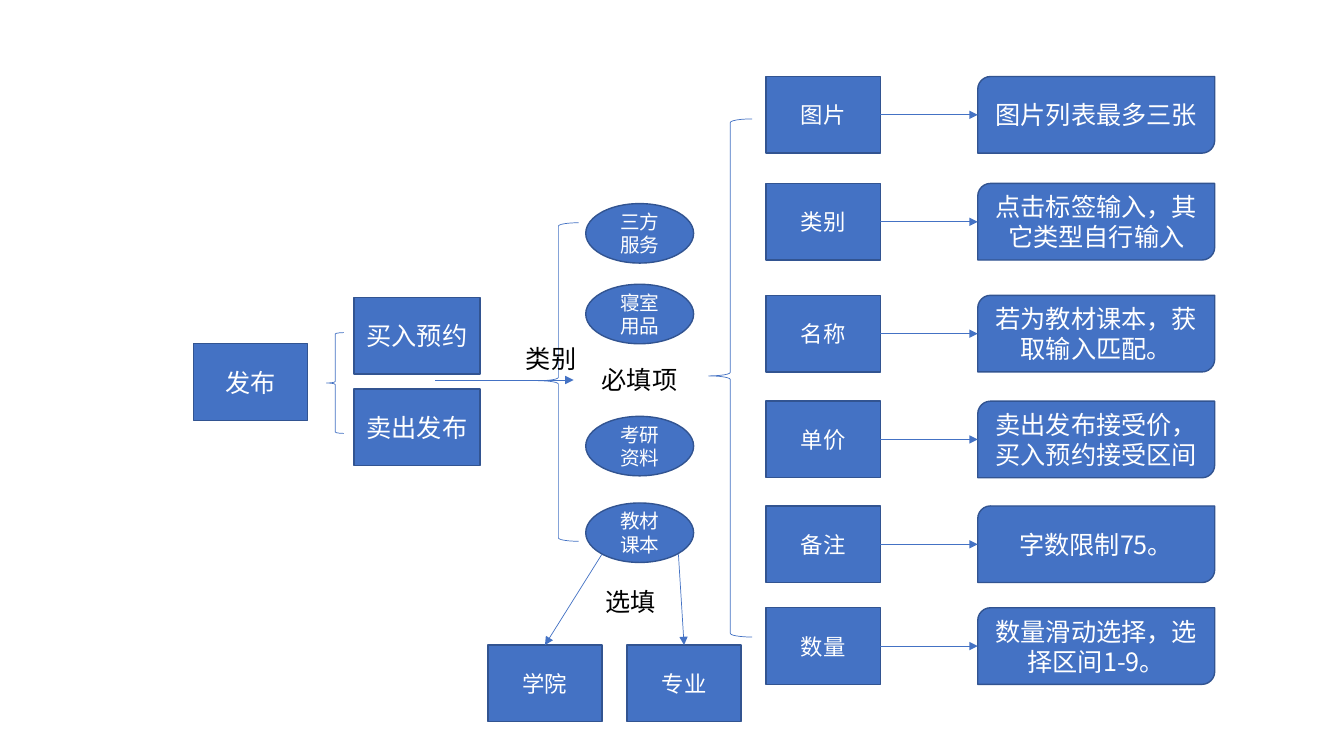
from lxml import etree
from pptx import Presentation
from pptx.dml.color import RGBColor
from pptx.enum.shapes import MSO_CONNECTOR, MSO_SHAPE
from pptx.enum.text import MSO_ANCHOR, PP_ALIGN
from pptx.oxml.ns import qn
from pptx.util import Inches, Pt

RECTANGLE = MSO_SHAPE.RECTANGLE
OVAL = MSO_SHAPE.OVAL
NOTE = MSO_SHAPE.ROUND_2_DIAG_RECTANGLE
BRACE = MSO_SHAPE.LEFT_BRACE
STRAIGHT = MSO_CONNECTOR.STRAIGHT
MIDDLE = MSO_ANCHOR.MIDDLE
LEFT, CENTER = PP_ALIGN.LEFT, PP_ALIGN.CENTER
TOP_SIDE, LEFT_SIDE, RIGHT_SIDE = 0, 1, 3

BLUE = RGBColor(0x44, 0x72, 0xC4)
NAVY = RGBColor(0x32, 0x54, 0x91)
WHITE = RGBColor(0xFF, 0xFF, 0xFF)
BLACK = RGBColor(0, 0, 0)
FONT = "Noto Sans CJK SC"

WIDTH, HEIGHT = Inches(13.333), Inches(7.5)
BOX_WIDTH, BOX_HEIGHT = 8.5, 10.13
TRADE_WIDTH, NOTE_WIDTH = 9.38, 17.63
OVAL_WIDTH, OVAL_HEIGHT = 8.03, 7.87
LABEL_HEIGHT = 5.33
TRADE_LEFT, OVAL_LEFT, FIELD_LEFT, NOTE_LEFT = 26.33, 43.58, 57, 72.75
DETAIL_TOP, DETAIL_START = 85.33, 73.33

TRADES = [(39.33, "买入预约"), (51.47, "卖出发布")]
CATEGORIES = [(26.93, "三方服务"), (37.6, "寝室用品"), (55.07, "考研资料"), (66.53, "教材课本")]
FIELDS = [
    (10.13, "图片", "图片列表最多三张"),
    (24.27, "类别", "点击标签输入，其它类型自行输入"),
    (39.07, "名称", "若为教材课本，获取输入匹配。"),
    (53.07, "单价", "卖出发布接受价，买入预约接受区间"),
    (66.93, "备注", "字数限制75。"),
    (80.4, "数量", "数量滑动选择，选择区间1-9。"),
]
DETAILS = [(36.3, "学院", 44.78), (46.65, "专业", 50.48)]
BRACES = [
    (24.3, 44, 1.28, 13.33, 0.5),
    (40.05, 29.47, 3, 42.13, 0.496),
    (52.73, 15.73, 3.23, 68.53, 0.496),
]
LABELS = [(44.03, 47.47, 7.43, "必填项"), (44.33, 76.93, 5.78, "选填"), (38.4, 44.8, 6.6, "类别")]


def across(share):
    return round(WIDTH * share / 100)


def down(share):
    return round(HEIGHT * share / 100)


def place(left, top, width, height):
    return across(left), down(top), across(width), down(height)


def write(frame, text, size=18, color=WHITE, align=CENTER):
    para = frame.paragraphs[0]
    para.alignment = align
    span = para.add_run()
    span.text = text
    span.font.size = Pt(size)
    span.font.name = FONT
    span.font.color.rgb = color
    east_asian = etree.SubElement(span.font._element, qn("a:ea"))
    east_asian.set("typeface", FONT)


def add_node(page, preset, area, text, size=18):
    box = page.shapes.add_shape(preset, *place(*area))
    box.shadow.inherit = False
    box.fill.solid()
    box.fill.fore_color.rgb = BLUE
    box.line.color.rgb = NAVY
    box.line.width = Pt(1)
    box.text_frame.word_wrap = True
    box.text_frame.vertical_anchor = MIDDLE
    write(box.text_frame, text, size=size)
    return box


def add_label(page, left, top, width, text):
    box = page.shapes.add_textbox(*place(left, top, width, LABEL_HEIGHT))
    box.text_frame.word_wrap = True
    write(box.text_frame, text, color=BLACK, align=LEFT)


def add_brace(page, left, top, width, height, point):
    brace = page.shapes.add_shape(BRACE, *place(left, top, width, height))
    brace.shadow.inherit = False
    brace.fill.background()
    brace.line.color.rgb = BLUE
    brace.line.width = Pt(0.5)
    brace.adjustments[0] = 0.083
    brace.adjustments[1] = point


def add_arrow(page, start=(0, 0), end=(0, 0)):
    arrow = page.shapes.add_connector(
        STRAIGHT, across(start[0]), down(start[1]), across(end[0]), down(end[1]))
    arrow.line.color.rgb = BLUE
    arrow.line.width = Pt(0.5)
    etree.SubElement(arrow.line._get_or_add_ln(), qn("a:tailEnd")).set("type", "triangle")
    etree.SubElement(arrow._element.spPr, qn("a:effectLst"))
    return arrow


def add_field(page, top, name, rule):
    field = add_node(page, RECTANGLE, (FIELD_LEFT, top, BOX_WIDTH, BOX_HEIGHT), name, size=16)
    note = add_node(page, NOTE, (NOTE_LEFT, top, NOTE_WIDTH, BOX_HEIGHT), rule)
    arrow = add_arrow(page)
    arrow.begin_connect(field, RIGHT_SIDE)
    arrow.end_connect(note, LEFT_SIDE)


def add_detail(page, left, name, start):
    detail = add_node(page, RECTANGLE, (left, DETAIL_TOP, BOX_WIDTH, BOX_HEIGHT), name, size=16)
    arrow = add_arrow(page, start=(start, DETAIL_START), end=(left, DETAIL_TOP))
    arrow.end_connect(detail, TOP_SIDE)


def main():
    deck = Presentation()
    deck.slide_width, deck.slide_height = WIDTH, HEIGHT
    page = deck.slides.add_slide(deck.slide_layouts[6])
    add_node(page, RECTANGLE, (14.4, 45.47, BOX_WIDTH, BOX_HEIGHT), "发布")
    add_arrow(page, start=(32.4, 50.27), end=(42.68, 50.27))
    for top, name in TRADES:
        add_node(page, RECTANGLE, (TRADE_LEFT, top, TRADE_WIDTH, BOX_HEIGHT), name)
    for top, name in CATEGORIES:
        add_node(page, OVAL, (OVAL_LEFT, top, OVAL_WIDTH, OVAL_HEIGHT), name, size=14)
    for field in FIELDS:
        add_field(page, *field)
    for detail in DETAILS:
        add_detail(page, *detail)
    for brace in BRACES:
        add_brace(page, *brace)
    for label in LABELS:
        add_label(page, *label)
    deck.save("out.pptx")


if __name__ == "__main__":
    main()
